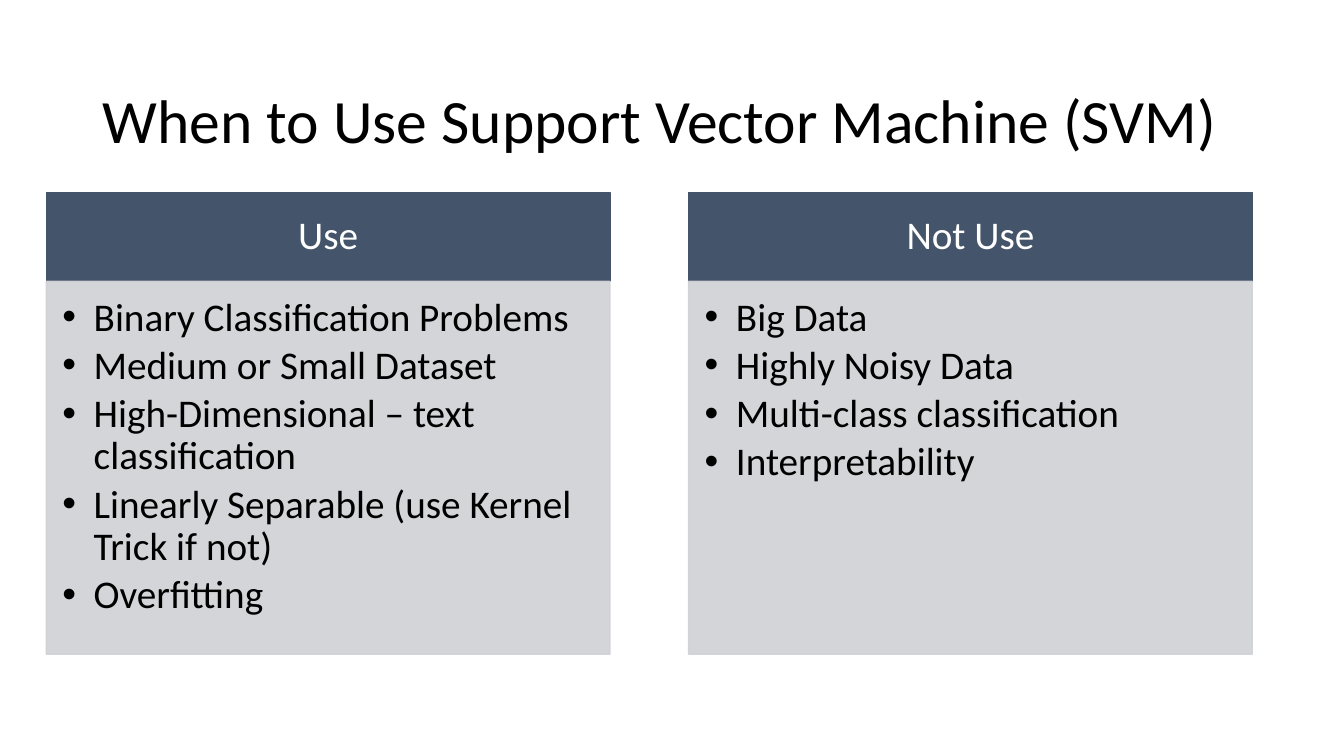
from dataclasses import dataclass

from lxml import etree
from pptx import Presentation
from pptx.dml.color import RGBColor
from pptx.enum.shapes import MSO_SHAPE
from pptx.enum.text import MSO_ANCHOR, MSO_AUTO_SIZE, PP_ALIGN
from pptx.oxml.ns import qn
from pptx.util import Inches, Pt

RECT = MSO_SHAPE.RECTANGLE
TOP, MIDDLE = MSO_ANCHOR.TOP, MSO_ANCHOR.MIDDLE
LEFT, CENTER = PP_ALIGN.LEFT, PP_ALIGN.CENTER
NO_AUTOFIT = MSO_AUTO_SIZE.NONE


@dataclass(frozen=True)
class Theme:
    font: str = "Calibri"
    ink: RGBColor = RGBColor(0x00, 0x00, 0x00)
    header_ink: RGBColor = RGBColor(0xFF, 0xFF, 0xFF)
    header_fill: RGBColor = RGBColor(0x44, 0x54, 0x6A)
    body_fill: RGBColor = RGBColor(0xCF, 0xD1, 0xD4)
    body_opacity: int = 90
    title_size: int = 44
    text_size: int = 28
    line_spacing: float = 0.9


THEME = Theme()

TITLE = "When to Use Support Vector Machine (SVM)"
COLUMNS = [
    ("Use", [
        "Binary Classification Problems",
        "Medium or Small Dataset",
        "High-Dimensional – text classification",
        "Linearly Separable (use Kernel Trick if not)",
        "Overfitting",
    ]),
    ("Not Use", [
        "Big Data",
        "Highly Noisy Data",
        "Multi-class classification",
        "Interpretability",
    ]),
]
COLUMNS_LEFT, COLUMNS_TOP = 0.46, 1.91
COLUMN_WIDTH, COLUMN_GAP = 5.59, 0.78
HEADER_HEIGHT, BODY_HEIGHT = 0.88, 3.7


def write(p, text, size, color, align):
    p.alignment = align
    p.line_spacing = THEME.line_spacing
    r = p.add_run()
    r.text = text
    r.font.name = THEME.font
    r.font.size = Pt(size)
    r.font.color.rgb = color


def add_bullet(p, indent):
    pPr = p._p.get_or_add_pPr()
    pPr.set("marL", str(Inches(indent)))
    pPr.set("indent", str(-Inches(indent)))
    etree.SubElement(pPr, qn("a:buFont")).set("typeface", "Arial")
    etree.SubElement(pPr, qn("a:buChar")).set("char", "•")


def set_opacity(sp, percent):
    """Make the fill and the outline equally see-through."""
    for color in sp._element.spPr.iter(qn("a:srgbClr")):
        etree.SubElement(color, qn("a:alpha")).set("val", str(percent * 1000))


def add_panel(slide, box, fill, insets, anchor):
    sp = slide.shapes.add_shape(RECT, *map(Inches, box))
    sp.shadow.inherit = False
    sp.fill.solid()
    sp.fill.fore_color.rgb = fill
    sp.line.color.rgb = fill
    sp.line.width = Pt(1)
    tf = sp.text_frame
    tf.word_wrap = True
    tf.vertical_anchor = anchor
    (tf.margin_left, tf.margin_top,
     tf.margin_right, tf.margin_bottom) = map(Inches, insets)
    return sp


def add_title(slide, box, text):
    sp = slide.shapes.title
    sp.left, sp.top, sp.width, sp.height = map(Inches, box)
    tf = sp.text_frame
    tf.auto_size = NO_AUTOFIT
    tf.vertical_anchor = MIDDLE
    write(tf.paragraphs[0], text, THEME.title_size, THEME.ink, LEFT)


def add_column(slide, box, heading, items):
    """Place a heading bar with a bulleted panel below it."""
    left, top, width, height = box
    header = add_panel(slide, (left, top, width, HEADER_HEIGHT),
                       THEME.header_fill, (0.22, 0.12, 0.22, 0.12), MIDDLE)
    write(header.text_frame.paragraphs[0], heading,
          THEME.text_size, THEME.header_ink, CENTER)

    body = add_panel(slide, (left, top + HEADER_HEIGHT, width, height - HEADER_HEIGHT),
                     THEME.body_fill, (0.16, 0.16, 0.22, 0.24), TOP)
    set_opacity(body, THEME.body_opacity)
    tf = body.text_frame
    for i, item in enumerate(items):
        p = tf.add_paragraph() if i else tf.paragraphs[0]
        add_bullet(p, 0.31)
        p.space_after = Pt(0.15 * THEME.text_size)
        write(p, item, THEME.text_size, THEME.ink, LEFT)


def main():
    prs = Presentation()
    prs.slide_width, prs.slide_height = Inches(13.33), Inches(7.5)
    slide = prs.slides.add_slide(prs.slide_layouts.get_by_name("Title Only"))
    add_title(slide, (0.92, 0.61, 11.5, 1.24), TITLE)
    for i, (heading, items) in enumerate(COLUMNS):
        left = COLUMNS_LEFT + i * (COLUMN_WIDTH + COLUMN_GAP)
        box = (left, COLUMNS_TOP, COLUMN_WIDTH, HEADER_HEIGHT + BODY_HEIGHT)
        add_column(slide, box, heading, items)
    prs.save("out.pptx")


if __name__ == "__main__":
    main()
